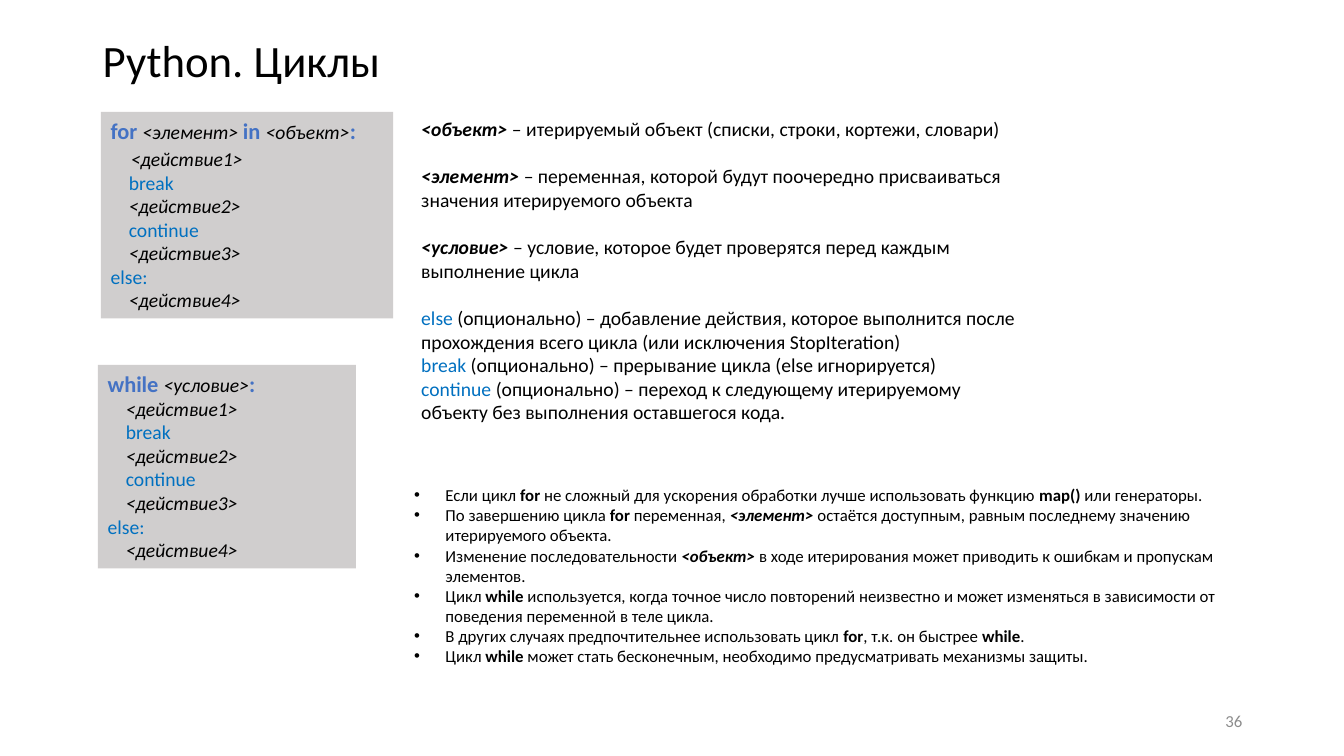
import pptx
import pptx.dml.color
import pptx.enum.shapes
import pptx.enum.text
import pptx.oxml.ns
import pptx.util
from lxml import etree
from pptx.util import Inches

FONT = "Calibri"
BLACK = "000000"
STYLES = {
    "plain": {},
    "bold": {"bold": True},
    "term": {"bold": True, "italic": True},
    "slot": {"italic": True},
    "option": {"color": "0070C0"},
    "keyword": {"bold": True, "color": "4472C4", "size": 16},
}

LOOP_BODY = [
    ("<действие1>", "slot"),
    ("break", "option"),
    ("<действие2>", "slot"),
    ("continue", "option"),
    ("<действие3>", "slot"),
    ("else:", "option"),
    ("<действие4>", "slot"),
]
FOR_HEADER = [("for ", "keyword"), ("<элемент> ", "slot"), ("in ", "keyword"),
              ("<объект>", "slot"), (":", "keyword")]
WHILE_HEADER = [("while ", "keyword"), ("<условие>", "slot"), (":", "keyword")]

DEFINITIONS = [
    [("<объект> ", "term"),
     ("– итерируемый объект (списки, строки, кортежи, словари)", "plain")],
    [("<элемент> ", "term"),
     ("– переменная, которой будут поочередно присваиваться значения итерируемого объекта", "plain")],
    [("<условие> ", "term"),
     ("– условие, которое будет проверятся перед каждым выполнение цикла", "plain")],
    [("else", "option"),
     (" (опционально) – добавление действия, которое выполнится после "
      "прохождения всего цикла (или исключения StopIteration)", "plain")],
    [("break", "option"),
     (" (опционально) – прерывание цикла (else игнорируется)", "plain")],
    [("continue ", "option"),
     ("(опционально) – переход к следующему итерируемому "
      "объекту без выполнения оставшегося кода.", "plain")],
]
SPACED_DEFINITIONS = range(1, 4)

NOTES = [
    [("Если цикл ", "plain"), ("for", "bold"),
     (" не сложный для ускорения обработки лучше использовать функцию ", "plain"),
     ("map() ", "bold"), ("или генераторы.", "plain")],
    [("По завершению цикла ", "plain"), ("for", "bold"), (" переменная, ", "plain"),
     ("<элемент> ", "term"),
     ("остаётся доступным, равным последнему значению итерируемого объекта.", "plain")],
    [("Изменение последовательности ", "plain"), ("<объект> ", "term"),
     ("в ходе итерирования может приводить к ошибкам и пропускам элементов.", "plain")],
    [("Цикл ", "plain"), ("while", "bold"),
     (" используется, когда точное число повторений неизвестно и может изменяться "
      "в зависимости от поведения переменной в теле цикла.", "plain")],
    [("В других случаях предпочтительнее использовать цикл ", "plain"), ("for", "bold"),
     (", т.к. он быстрее ", "plain"), ("while", "bold"), (".", "plain")],
    [("Цикл ", "plain"), ("while", "bold"),
     (" может стать бесконечным, необходимо предусматривать механизмы защиты.", "plain")],
]


def rgb(value):
    """Turn a hex string into a colour."""
    return pptx.dml.color.RGBColor.from_string(value)


def write_runs(paragraph, pieces, size, color=BLACK):
    """Fill a paragraph with styled pieces of text."""
    paragraph.alignment = pptx.enum.text.PP_ALIGN.LEFT
    for text, style_name in pieces:
        style = STYLES[style_name]
        run = paragraph.add_run()
        run.text = text
        run.font.name = FONT
        run.font.size = pptx.util.Pt(style.get("size", size))
        run.font.bold = style.get("bold", False)
        run.font.italic = style.get("italic", False)
        run.font.color.rgb = rgb(style.get("color", color))


def write_paragraphs(frame, lines, size, color=BLACK):
    """Write one paragraph per line and return the paragraphs."""
    frame.word_wrap = True
    frame.text = "\n" * (len(lines) - 1)
    for paragraph, pieces in zip(frame.paragraphs, lines):
        write_runs(paragraph, pieces, size, color)
    return frame.paragraphs


def add_text(slide, box, lines, size, color=BLACK, anchor="TOP"):
    """Add a wrapped text box and return its paragraphs."""
    frame = slide.shapes.add_textbox(*map(Inches, box)).text_frame
    frame.vertical_anchor = pptx.enum.text.MSO_ANCHOR[anchor]
    return write_paragraphs(frame, lines, size, color)


def indent(paragraph, left, first=0):
    """Set the left margin and first line indent in inches."""
    properties = paragraph._p.get_or_add_pPr()
    properties.set("marL", str(Inches(left)))
    properties.set("indent", str(Inches(first)))
    return properties


def add_bullet(paragraph):
    """Give a paragraph a hanging round bullet."""
    properties = indent(paragraph, 0.31, -0.31)
    font = etree.SubElement(properties, pptx.oxml.ns.qn("a:buFont"))
    font.set("typeface", "Arial")
    bullet = etree.SubElement(properties, pptx.oxml.ns.qn("a:buChar"))
    bullet.set("char", "•")


def add_loop_syntax(slide, box, header):
    """Add a grey panel with the syntax of a loop and return its paragraphs."""
    panel = slide.shapes.add_shape(
        pptx.enum.shapes.MSO_SHAPE.RECTANGLE, *map(Inches, box))
    panel.shadow.inherit = False
    panel.fill.solid()
    panel.fill.fore_color.rgb = rgb("D0CECE")
    panel.line.fill.background()
    panel.text_frame.vertical_anchor = pptx.enum.text.MSO_ANCHOR.TOP
    lines = [header] + [[piece] for piece in LOOP_BODY]
    paragraphs = write_paragraphs(panel.text_frame, lines, 14)
    for paragraph, (text, _) in zip(paragraphs[1:], LOOP_BODY):
        if text != "else:":
            indent(paragraph, 0.18)
    return paragraphs


def main():
    """Build the slide about loops and save it."""
    presentation = pptx.Presentation()
    presentation.slide_width = Inches(13.33)
    presentation.slide_height = Inches(7.5)
    slide = presentation.slides.add_slide(presentation.slide_layouts[6])

    title = add_text(slide, (0.92, 0.4, 11.5, 0.45),
                     [[("Python. Циклы", "plain")]], 32, anchor="MIDDLE")
    title[0].line_spacing = 0.9

    for_lines = add_loop_syntax(slide, (1, 1.11, 2.9, 2.05), FOR_HEADER)
    indent(for_lines[1], 0.2)
    for_lines[1].space_before = pptx.util.Pt(2.4)
    add_loop_syntax(slide, (0.97, 3.62, 2.56, 2.02), WHILE_HEADER)

    definitions = add_text(slide, (4.08, 1.11, 6.16, 3.16), DEFINITIONS, 14)
    for index in SPACED_DEFINITIONS:
        definitions[index].space_before = pptx.util.Pt(17)

    for note in add_text(slide, (4.01, 4.76, 8.29, 1.92), NOTES, 12):
        add_bullet(note)

    page_number = add_text(slide, (9.42, 6.95, 3, 0.4),
                           [[("36", "plain")]], 12, "8C8C8C", "MIDDLE")
    page_number[0].alignment = pptx.enum.text.PP_ALIGN.RIGHT

    presentation.save("out.pptx")


if __name__ == "__main__":
    main()
